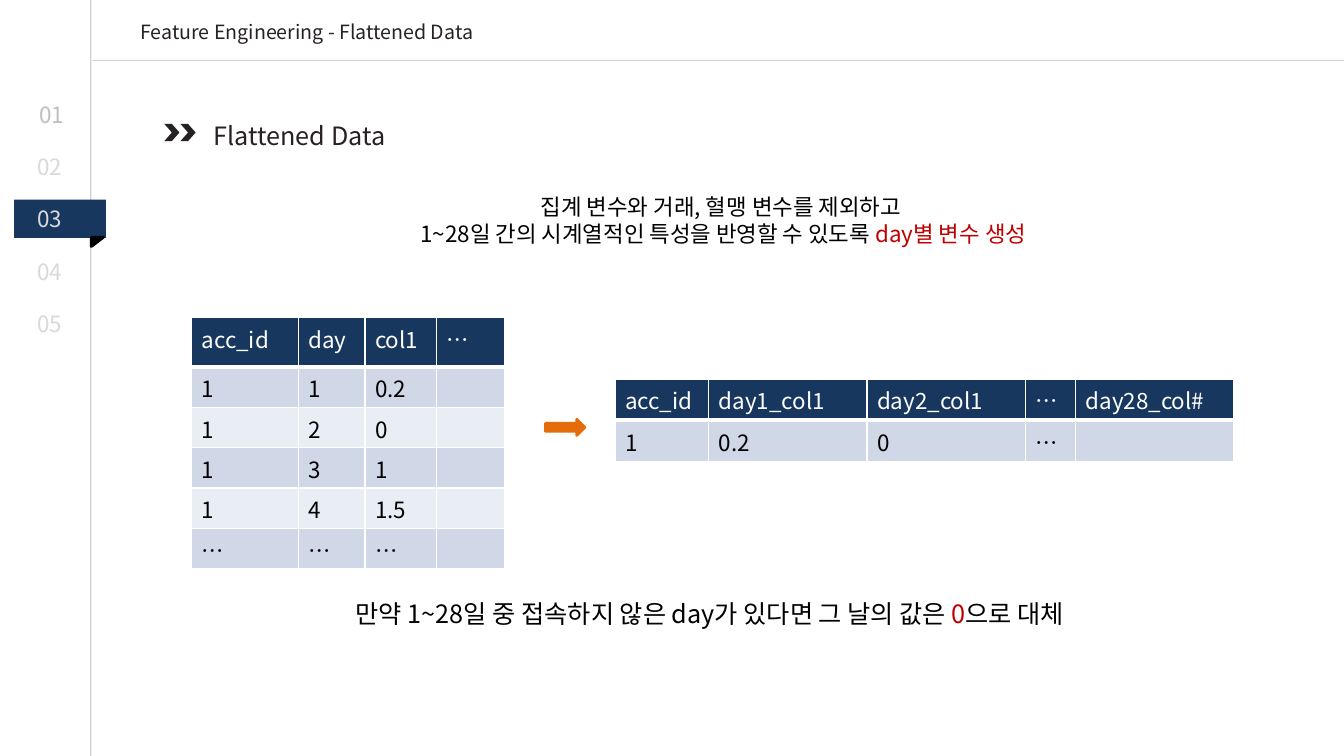
from lxml.etree import SubElement
from pptx import Presentation
from pptx.dml.color import RGBColor
from pptx.enum.shapes import MSO_CONNECTOR, MSO_SHAPE
from pptx.enum.text import MSO_ANCHOR, MSO_AUTO_SIZE, PP_ALIGN
from pptx.oxml.ns import qn
from pptx.util import Inches, Pt

FONT = "Noto Sans CJK KR"
NAVY, INK, BLACK, WHITE, RED = "17375E", "272123", "000000", "FFFFFF", "C00000"
ORANGE, RULE_GRAY, PALE, PALER = "E46C0A", "A6A6A6", "D0D8E8", "E9EDF4"
SLIDE_WIDTH, SLIDE_HEIGHT = 13.33, 7.5


def rgb(color):
    return RGBColor.from_string(color)


def place(shape, left, top, width, height):
    shape.left, shape.top = Inches(left), Inches(top)
    shape.width, shape.height = Inches(width), Inches(height)


def write(frame, *paragraphs, size=16, color=BLACK, align=PP_ALIGN.LEFT):
    """Each paragraph is a string or a list of (text, color) runs."""
    for index, content in enumerate(paragraphs):
        paragraph = frame.add_paragraph() if index else frame.paragraphs[0]
        paragraph.alignment = align
        runs = [(content, color)] if isinstance(content, str) else content
        for text, run_color in runs:
            run = paragraph.add_run()
            run.text = text
            run.font.size = Pt(size)
            run.font.bold = False
            run.font.name = FONT
            run.font.color.rgb = rgb(run_color)
            SubElement(run.font._element, qn("a:ea"), typeface=FONT)


def add_text(slide, box, *paragraphs, **text_format):
    frame = slide.shapes.add_textbox(*map(Inches, box)).text_frame
    frame.word_wrap = True
    write(frame, *paragraphs, **text_format)


def add_figure(slide, kind, box, fill, outlined=False, rotation=0):
    figure = slide.shapes.add_shape(kind, *map(Inches, box))
    figure.shadow.inherit = False
    figure.rotation = rotation
    figure.fill.solid()
    figure.fill.fore_color.rgb = rgb(fill)
    if outlined:
        figure.line.color.rgb = rgb(fill)
        figure.line.width = Pt(2)
    else:
        figure.line.fill.background()


def add_rule(slide, *ends):
    """Draw a thin half-transparent line between two points."""
    rule = slide.shapes.add_connector(MSO_CONNECTOR.STRAIGHT, *map(Inches, ends))
    rule.line.color.rgb = rgb(RULE_GRAY)
    rule.line.width = Pt(0.75)
    properties = rule._element.spPr
    color = next(properties.iter(qn("a:srgbClr")))
    SubElement(color, qn("a:alpha"), val="50000")
    SubElement(properties, qn("a:effectLst"))


def set_borders(cell, bottom_width):
    properties = cell._tc.get_or_add_tcPr()
    for side, width in (("L", 1), ("R", 1), ("T", 1), ("B", bottom_width)):
        border = SubElement(properties, qn(f"a:ln{side}"), w=str(Pt(width)))
        fill = SubElement(border, qn("a:solidFill"))
        SubElement(fill, qn("a:srgbClr"), val=WHITE)


def add_data_table(slide, left, top, widths, heights, rows):
    table = slide.shapes.add_table(
        len(rows), len(widths), Inches(left), Inches(top),
        Inches(sum(widths)), Inches(sum(heights))).table
    for column, width in zip(table.columns, widths):
        column.width = Inches(width)
    for index, (values, height) in enumerate(zip(rows, heights)):
        table.rows[index].height = Inches(height)
        is_header = index == 0
        band = NAVY if is_header else PALE if index % 2 else PALER
        for cell, value in zip(table.rows[index].cells, values):
            set_borders(cell, 3 if is_header else 1)
            cell.fill.solid()
            cell.fill.fore_color.rgb = rgb(band)
            write(cell.text_frame, value, color=WHITE if is_header else BLACK)


def add_header(slide):
    title = slide.shapes.title
    place(title, 1.29, 0.15, 3.64, 0.57)
    frame = title.text_frame
    frame.word_wrap = True
    frame.auto_size = MSO_AUTO_SIZE.NONE
    frame.vertical_anchor = MSO_ANCHOR.TOP
    write(frame, "Feature Engineering - Flattened Data", size=14, color=INK)


def add_navigation(slide):
    add_rule(slide, 0.9, 0, 0.9, SLIDE_HEIGHT)
    add_figure(slide, MSO_SHAPE.RECTANGLE, (0.14, 1.98, 0.91, 0.38), NAVY)
    add_figure(slide, MSO_SHAPE.RIGHT_TRIANGLE, (0.92, 2.34, 0.09, 0.12), BLACK,
               outlined=True, rotation=90)
    for section in range(1, 6):
        is_first = section == 1
        add_text(slide,
                 (0.29 if is_first else 0.27, 0.43 + 0.52 * section, 0.55, 0.37),
                 f"{section:02}", color="BFBFBF" if is_first else "D9D9D9")


def add_section_heading(slide):
    for left in (1.63, 1.79):
        add_figure(slide, MSO_SHAPE.CHEVRON, (left, 1.23, 0.15, 0.17), INK)
    add_text(slide, (2.02, 1.14, 3.31, 0.4), "Flattened Data", size=18, color=INK)


def main():
    presentation = Presentation()
    presentation.slide_width = Inches(SLIDE_WIDTH)
    presentation.slide_height = Inches(SLIDE_HEIGHT)
    title_only = presentation.slide_layouts[5]
    slide = presentation.slides.add_slide(title_only)

    add_header(slide)
    add_navigation(slide)
    add_rule(slide, 0.92, 0.6, SLIDE_WIDTH, 0.6)
    add_section_heading(slide)

    add_text(slide, (1.79, 1.87, 10.77, 0.64),
             "집계 변수와 거래, 혈맹 변수를 제외하고 ",
             [("1~28일 간의 시계열적인 특성을 반영할 수 있도록 ", BLACK),
              ("day별 변수 생성", RED)],
             align=PP_ALIGN.CENTER)

    add_data_table(slide, 1.9, 3.15, [1.06, 0.66, 0.71, 0.68], [0.49] + [0.37] * 5, [
        ["acc_id", "day", "col1", "…"],
        ["1", "1", "0.2", ""],
        ["1", "2", "0", ""],
        ["1", "3", "1", ""],
        ["1", "4", "1.5", ""],
        ["…", "…", "…", ""],
    ])
    add_figure(slide, MSO_SHAPE.RIGHT_ARROW, (5.41, 4.16, 0.39, 0.16), ORANGE,
               outlined=True)
    add_data_table(slide, 6.1, 3.76, [0.93, 1.57, 1.57, 0.5, 1.57], [0.41] * 2, [
        ["acc_id", "day1_col1", "day2_col1", "…", "day28_col#"],
        ["1", "0.2", "0", "…", ""],
    ])

    add_text(slide, (3.43, 5.89, 7.25, 0.4),
             [("만약 1~28일 중 접속하지 않은 day가 있다면 그 날의 값은 ", BLACK),
              ("0", RED), ("으로 대체", BLACK)],
             size=18)

    presentation.save("out.pptx")


if __name__ == "__main__":
    main()
